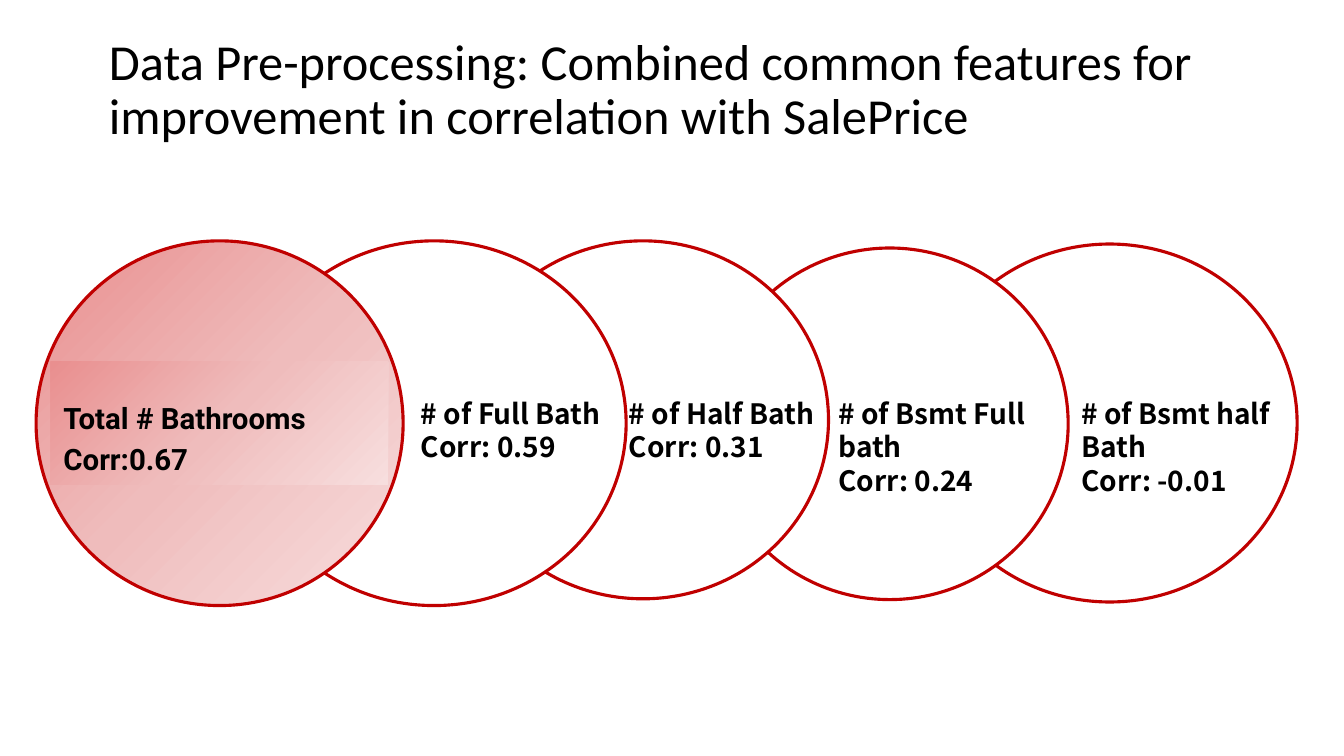
"""Build a slide of overlapping circles with the correlations of bathroom features."""
import dataclasses

import lxml.etree
import pptx
import pptx.dml.color
import pptx.enum.shapes
import pptx.enum.text
import pptx.oxml.ns
import pptx.shapes.autoshape
import pptx.slide
import pptx.text.text
import pptx.util

Cm = pptx.util.Cm
Pt = pptx.util.Pt
RGBColor = pptx.dml.color.RGBColor
ANCHOR = pptx.enum.text.MSO_ANCHOR
AUTO_SIZE = pptx.enum.text.MSO_AUTO_SIZE
SHAPE = pptx.enum.shapes.MSO_SHAPE


@dataclasses.dataclass(frozen=True)
class TextStyle:
    font: str
    size: float
    bold: bool
    line_spacing: float


@dataclasses.dataclass(frozen=True)
class Theme:
    text: str = "000000"
    paper: str = "FFFFFF"
    outline: str = "C00000"
    outline_width: float = 2.25
    gradient: tuple[str, ...] = ("E98F8F", "EFBCBC", "F7DEDE")
    title: TextStyle = TextStyle("Calibri", 36, False, 0.9)
    label: TextStyle = TextStyle("Noto Sans CJK SC", 20, True, 1.0)
    total: TextStyle = TextStyle("Roboto", 21, True, 1.15)


@dataclasses.dataclass(frozen=True)
class Box:
    left: float
    top: float
    width: float
    height: float

    def lengths(self) -> tuple[Cm, Cm, Cm, Cm]:
        return Cm(self.left), Cm(self.top), Cm(self.width), Cm(self.height)


@dataclasses.dataclass(frozen=True)
class Feature:
    text: str
    circle: Box
    label: Box


THEME = Theme()
TITLE = (
    "Data Pre-processing: Combined common features for "
    "improvement in correlation with SalePrice"
)
TITLE_BOX = Box(2.49, 0.46, 31.37, 3.68)
LABEL_TOP = 9.73
LABEL_MARGIN = 0.25
TOTAL_TEXT = "Total # Bathrooms\nCorr:0.67"
TOTAL_CIRCLE = Box(0.91, 6.07, 9.25, 9.19)
TOTAL_PANEL = Box(1.27, 9.12, 8.51, 3.1)
FEATURES = (
    Feature("# of Bsmt half Bath\nCorr: -0.01",
            Box(23.24, 6.15, 9.45, 9.02), Box(27.0, LABEL_TOP, 5.69, 3.07)),
    Feature("# of Bsmt Full bath\nCorr: 0.24",
            Box(17.93, 6.25, 8.99, 8.86), Box(20.88, LABEL_TOP, 5.89, 3.07)),
    Feature("# of Half Bath\nCorr: 0.31",
            Box(11.53, 6.07, 9.35, 9.02), Box(15.6, LABEL_TOP, 5.31, 2.24)),
    Feature("# of Full Bath\nCorr: 0.59",
            Box(6.1, 6.07, 9.68, 9.19), Box(10.36, LABEL_TOP, 5.03, 2.24)),
)


def write_text(frame: pptx.text.text.TextFrame, text: str, style: TextStyle) -> None:
    """Fill a text frame with left-aligned paragraphs in one style."""
    frame.text = text
    frame.word_wrap = True
    for paragraph in frame.paragraphs:
        paragraph.alignment = pptx.enum.text.PP_ALIGN.LEFT
        paragraph.line_spacing = style.line_spacing
        for run in paragraph.runs:
            run.font.name = style.font
            run.font.size = Pt(style.size)
            run.font.bold = style.bold
            run.font.color.rgb = RGBColor.from_string(THEME.text)


def apply_gradient(shape: pptx.shapes.autoshape.Shape) -> None:
    """Fill a shape with a circular gradient that starts at its top left corner."""
    qn = pptx.oxml.ns.qn
    shape.fill.gradient()
    gradient = shape.element.spPr.find(qn("a:gradFill"))
    for child in list(gradient):
        gradient.remove(child)
    stops = lxml.etree.SubElement(gradient, qn("a:gsLst"))
    step = 100000 // (len(THEME.gradient) - 1)
    for index, color in enumerate(THEME.gradient):
        stop = lxml.etree.SubElement(stops, qn("a:gs"), pos=str(index * step))
        lxml.etree.SubElement(stop, qn("a:srgbClr"), val=color)
    direction = lxml.etree.SubElement(gradient, qn("a:path"), path="circle")
    lxml.etree.SubElement(direction, qn("a:fillToRect"), r="100000", b="100000")


def add_circle(slide: pptx.slide.Slide, box: Box) -> pptx.shapes.autoshape.Shape:
    """Draw a white circle with the theme outline."""
    circle = slide.shapes.add_shape(SHAPE.OVAL, *box.lengths())
    circle.shadow.inherit = False
    circle.fill.solid()
    circle.fill.fore_color.rgb = RGBColor.from_string(THEME.paper)
    circle.line.color.rgb = RGBColor.from_string(THEME.outline)
    circle.line.width = Pt(THEME.outline_width)
    return circle


def add_label(slide: pptx.slide.Slide, feature: Feature) -> None:
    """Write the name and correlation of a feature over its circle."""
    frame = slide.shapes.add_textbox(*feature.label.lengths()).text_frame
    frame.margin_left = frame.margin_right = Cm(LABEL_MARGIN)
    frame.margin_top = frame.margin_bottom = Cm(LABEL_MARGIN)
    write_text(frame, feature.text, THEME.label)
    frame.auto_size = AUTO_SIZE.SHAPE_TO_FIT_TEXT


def add_total(slide: pptx.slide.Slide) -> None:
    """Draw the shaded circle and panel of the combined feature."""
    apply_gradient(add_circle(slide, TOTAL_CIRCLE))
    panel = slide.shapes.add_shape(SHAPE.RECTANGLE, *TOTAL_PANEL.lengths())
    panel.shadow.inherit = False
    panel.line.fill.background()
    apply_gradient(panel)
    frame = panel.text_frame
    frame.vertical_anchor = ANCHOR.MIDDLE
    frame.margin_left = frame.margin_right = Cm(0.33)
    frame.margin_top, frame.margin_bottom = Cm(0.61), Cm(0)
    write_text(frame, TOTAL_TEXT, THEME.total)


def add_title(slide: pptx.slide.Slide) -> None:
    """Place and format the slide title."""
    title = slide.shapes.title
    title.left, title.top, title.width, title.height = TITLE_BOX.lengths()
    title.text_frame.vertical_anchor = ANCHOR.MIDDLE
    title.text_frame.auto_size = AUTO_SIZE.NONE
    write_text(title.text_frame, TITLE, THEME.title)


def main() -> None:
    """Create the presentation and save it."""
    presentation = pptx.Presentation()
    presentation.slide_width, presentation.slide_height = Cm(33.87), Cm(19.05)
    title_only = presentation.slide_layouts.get_by_name("Title Only")
    slide = presentation.slides.add_slide(title_only)
    add_title(slide)
    for feature in FEATURES:
        add_circle(slide, feature.circle)
    add_total(slide)
    for feature in FEATURES:
        add_label(slide, feature)
    presentation.save("out.pptx")


if __name__ == "__main__":
    main()
